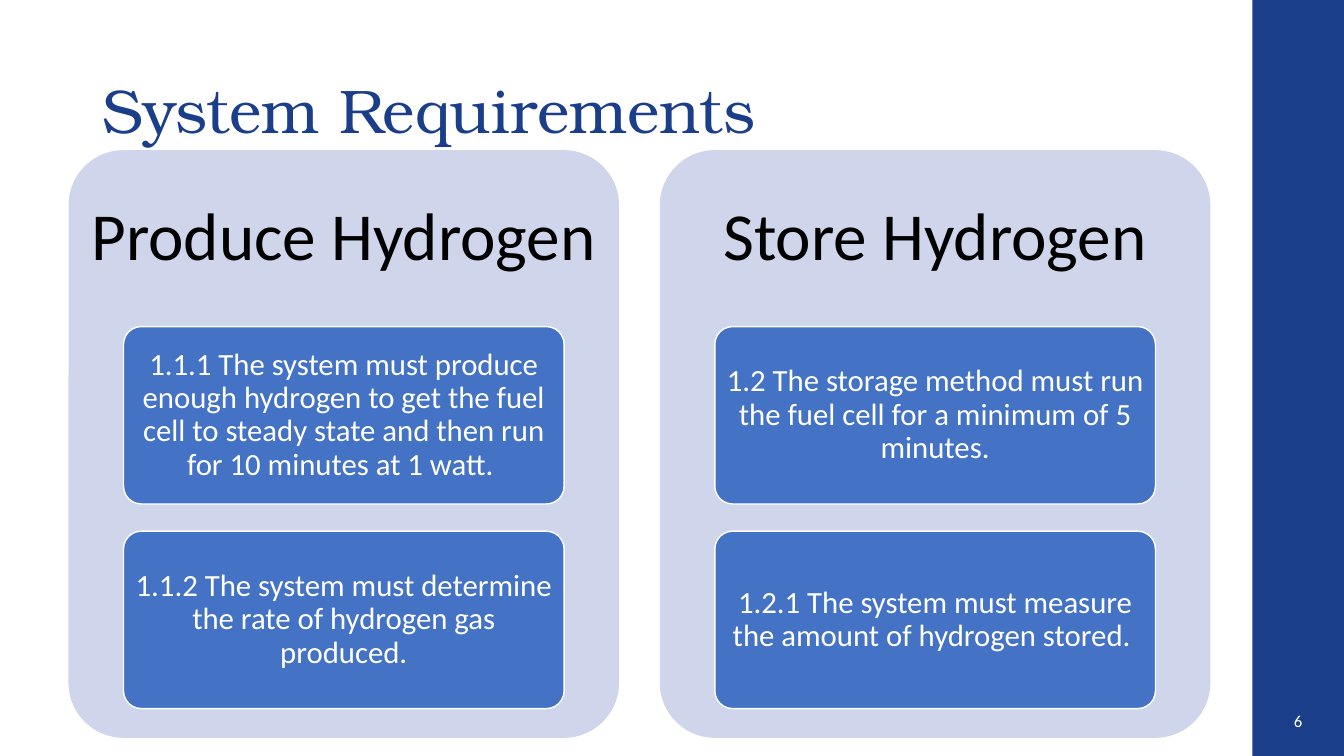
from dataclasses import dataclass

import pptx
import pptx.dml.color
import pptx.enum.shapes
import pptx.enum.text
import pptx.util

Inches = pptx.util.Inches
Pt = pptx.util.Pt
Align = pptx.enum.text.PP_ALIGN


@dataclass(frozen=True)
class Theme:
    navy: str = "1B3E8A"
    panel: str = "CFD5EA"
    card: str = "4472C4"
    white: str = "FFFFFF"
    black: str = "000000"
    title_font: str = "TeX Gyre Bonum"
    body_font: str = "Calibri"
    title_size: int = 44
    heading_size: int = 48
    card_size: int = 22
    number_size: int = 12


THEME = Theme()

REQUIREMENTS = [
    ("Produce Hydrogen", [
        "1.1.1 The system must produce enough hydrogen to get the fuel cell "
        "to steady state and then run for 10 minutes at 1 watt. ",
        "1.1.2 The system must determine the rate of hydrogen gas produced.",
    ]),
    ("Store Hydrogen", [
        "1.2 The storage method must run the fuel cell for a minimum of 5 minutes.",
        "1.2.1 The system must measure the amount of hydrogen stored. ",
    ]),
]

PANEL_LEFT, PANEL_TOP, PANEL_WIDTH, PANEL_HEIGHT = 0.68, 1.49, 5.46, 5.83
PANEL_STEP = 5.865
HEADING_HEIGHT = 1.75
CARD_WIDTH, CARD_HEIGHT, CARD_STEP = 4.37, 1.76, 2.03
CARD_INDENT = (PANEL_WIDTH - CARD_WIDTH) / 2


def rgb(code):
    return pptx.dml.color.RGBColor.from_string(code)


def write_text(shape, text, *, size, color, font=THEME.body_font,
               align=Align.CENTER, spacing=0.9, margins=(0.1, 0.05)):
    """Write one vertically centred paragraph; margins are (sides, top and bottom)."""
    frame = shape.text_frame
    frame.word_wrap = True
    frame.auto_size = pptx.enum.text.MSO_AUTO_SIZE.NONE
    frame.vertical_anchor = pptx.enum.text.MSO_ANCHOR.MIDDLE
    frame.margin_left = frame.margin_right = Inches(margins[0])
    frame.margin_top = frame.margin_bottom = Inches(margins[1])
    frame.text = text
    paragraph = frame.paragraphs[0]
    paragraph.alignment = align
    paragraph.line_spacing = spacing
    run_font = paragraph.runs[0].font
    run_font.name = font
    run_font.size = Pt(size)
    run_font.color.rgb = rgb(color)


def add_block(slide, left, top, width, height, fill, *, rounded=True, outline=None):
    kinds = pptx.enum.shapes.MSO_SHAPE
    block = slide.shapes.add_shape(
        kinds.ROUNDED_RECTANGLE if rounded else kinds.RECTANGLE,
        Inches(left), Inches(top), Inches(width), Inches(height))
    block.shadow.inherit = False
    if rounded:
        block.adjustments[0] = 0.1
    block.fill.solid()
    block.fill.fore_color.rgb = rgb(fill)
    if outline:
        block.line.color.rgb = rgb(outline)
        block.line.width = Pt(1)
    else:
        block.line.fill.background()
    return block


def add_label(slide, left, top, width, height, text, **text_format):
    label = slide.shapes.add_textbox(
        Inches(left), Inches(top), Inches(width), Inches(height))
    write_text(label, text, **text_format)


def place_title(slide, text):
    title = slide.shapes.title
    title.left, title.top = Inches(0.92), Inches(0.4)
    title.width, title.height = Inches(10.87), Inches(1.45)
    write_text(title, text, size=THEME.title_size, color=THEME.navy,
               font=THEME.title_font, align=Align.LEFT)


def add_requirement_panel(slide, left, heading, requirements):
    add_block(slide, left, PANEL_TOP, PANEL_WIDTH, PANEL_HEIGHT, THEME.panel)
    add_label(slide, left, PANEL_TOP, PANEL_WIDTH, HEADING_HEIGHT, heading,
              size=THEME.heading_size, color=THEME.black, margins=(0.2, 0.2))
    for row, requirement in enumerate(requirements):
        card = add_block(slide, left + CARD_INDENT,
                         PANEL_TOP + HEADING_HEIGHT + row * CARD_STEP,
                         CARD_WIDTH, CARD_HEIGHT, THEME.card, outline=THEME.white)
        write_text(card, requirement, size=THEME.card_size, color=THEME.white,
                   margins=(0.06, 0.05))


def main():
    deck = pptx.Presentation()
    deck.slide_width, deck.slide_height = Inches(13.33), Inches(7.5)
    slide = deck.slides.add_slide(deck.slide_layouts[5])
    add_block(slide, 12.42, 0, 0.91, 7.5, THEME.navy, rounded=False)
    place_title(slide, "System Requirements")
    for column, (heading, requirements) in enumerate(REQUIREMENTS):
        add_requirement_panel(slide, PANEL_LEFT + column * PANEL_STEP,
                              heading, requirements)
    add_label(slide, 12.64, 6.95, 0.47, 0.4, "6", size=THEME.number_size,
              color=THEME.white, spacing=1.0)
    deck.save("out.pptx")


if __name__ == "__main__":
    main()
